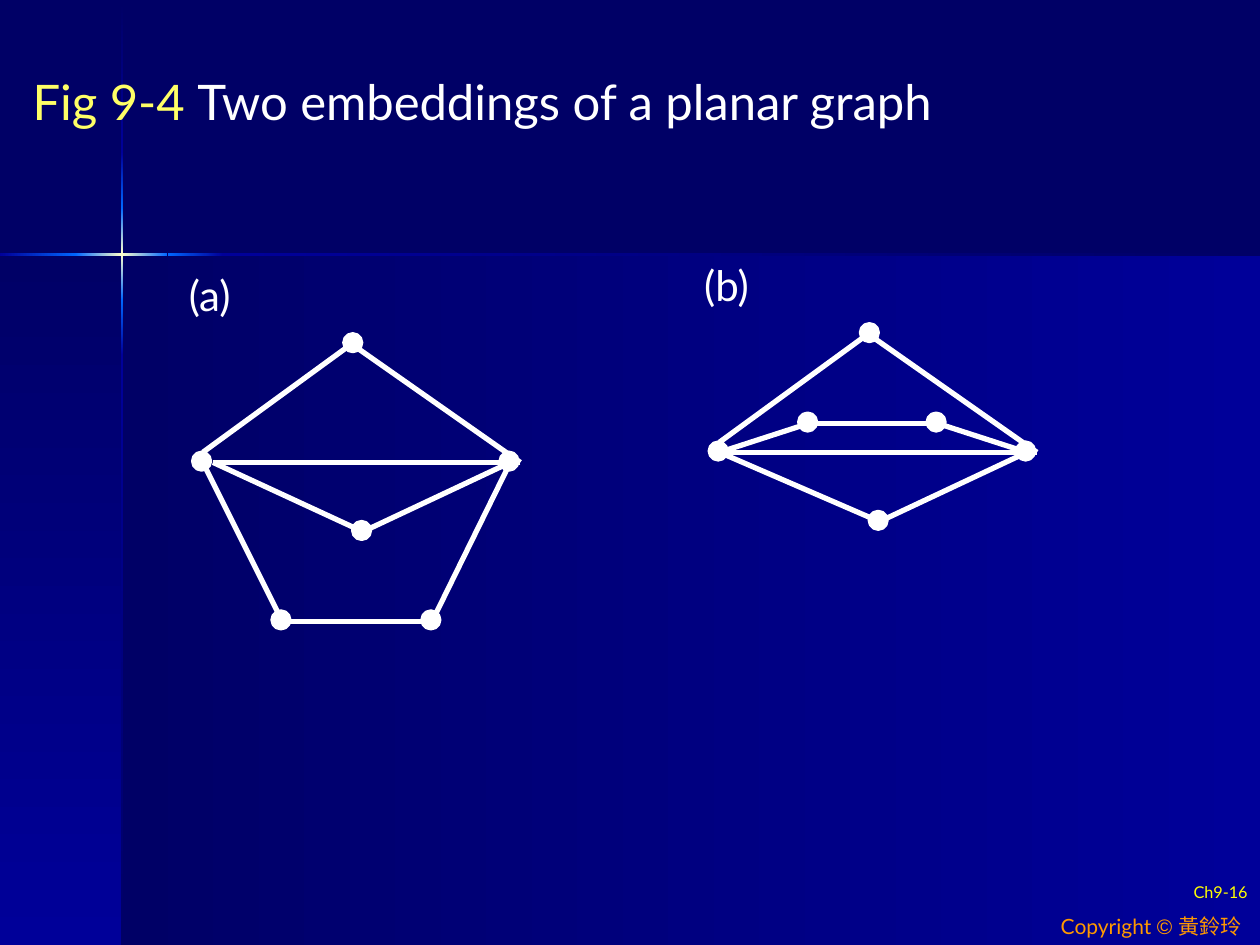
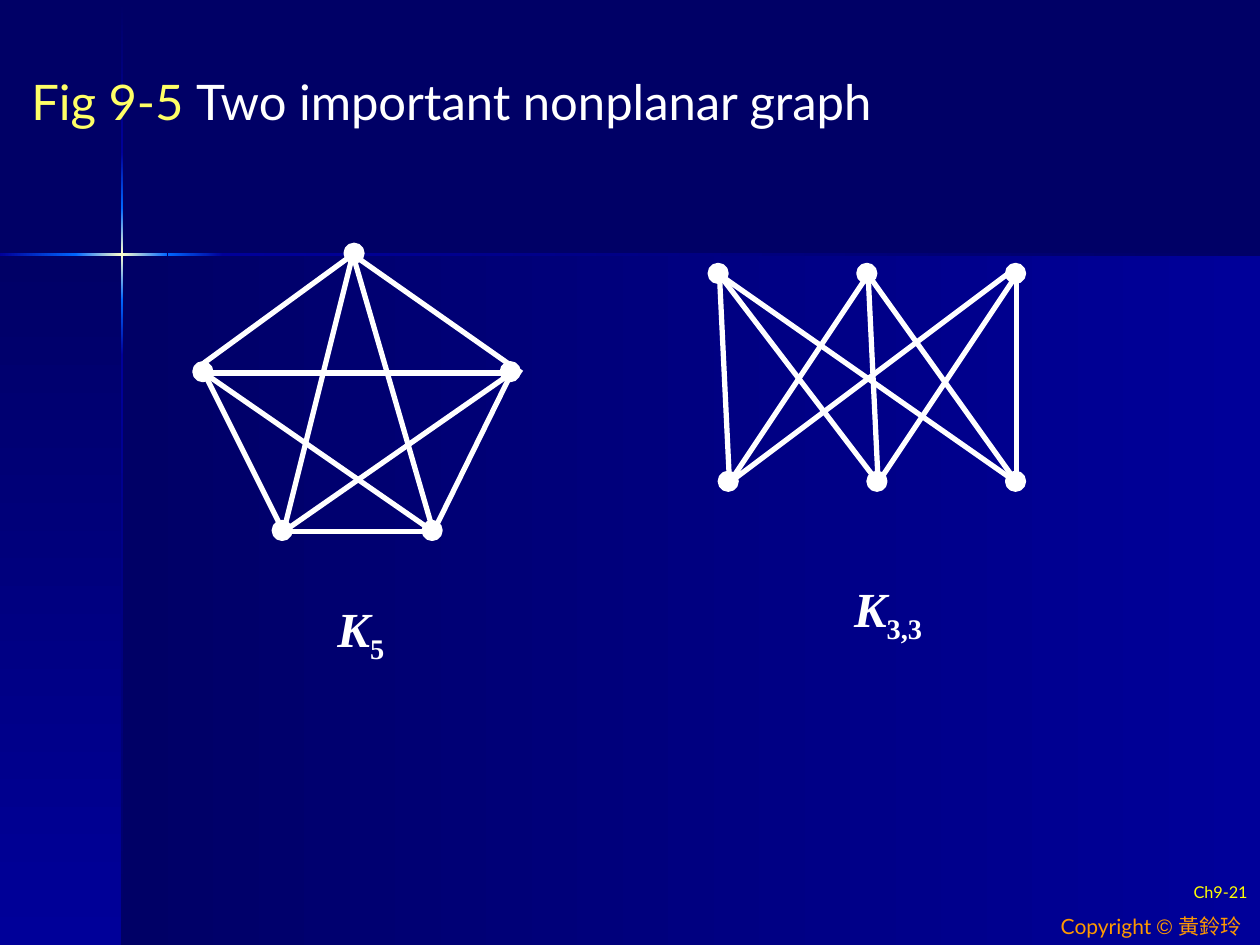
from copy import deepcopy

from pptx import Presentation
from pptx.dml.color import RGBColor
from pptx.enum.shapes import MSO_CONNECTOR as Link, MSO_SHAPE as Form
from pptx.enum.text import MSO_AUTO_SIZE as Fit, PP_ALIGN as Align
from pptx.oxml.ns import qn
from pptx.util import Inches, Pt

NAVY, BLUE, AZURE, CREAM = "000066", "000099", "0066FF", "FFFFCC"
WHITE, LEMON, YELLOW, ORANGE = "FFFFFF", "FFFF66", "FFFF00", "FF9900"
SANS, SERIF = "Lato", "Times New Roman"
DOT, HUB = 0.14, 0.08
BEAM = 0.02

# Capitals are dots; small letters are bare line ends.
FRAME = {"T": (1.2, 0), "L": (0, 0.94), "R": (2.44, 0.94),
         "t": (1.18, 0), "l": (0, 0.86), "r": (2.52, 0.94)}
BASE = {"P": (0.63, 2.2), "Q": (1.82, 2.2)}
MID = {"M": (1.27, 1.49)}
HOUSE = FRAME | BASE | MID | {"k": (0.08, 0.94)}
KITE = FRAME | MID | {"A": (0.71, 0.71), "B": (1.73, 0.71)}
FIVE = FRAME | BASE
PAIRS = {"A": (0, 0), "B": (1.18, 0), "C": (2.36, 0), "c": (2.28, 0),
         "D": (0.08, 1.65), "E": (1.26, 1.65), "F": (2.36, 1.65)}


def tint(code):
    """Turn a hex string into a colour."""
    return RGBColor.from_string(code)


def inch(*sizes):
    """Turn numbers into lengths."""
    return [Inches(size) for size in sizes]


def run(text, size, hue, font=SANS, bold=None, slant=None, base=None):
    """Describe one run of text."""
    return text, size, hue, font, bold, slant, base


def write(shapes, box, runs, wrap=False, align=Align.LEFT, gap=None):
    """Place a text box and fill it run by run."""
    frame = shapes.add_textbox(*inch(*box)).text_frame
    frame.word_wrap = wrap
    frame.auto_size = Fit.NONE if wrap else Fit.SHAPE_TO_FIT_TEXT
    para = frame.paragraphs[0]
    para.alignment = align
    para.line_spacing = gap
    for text, size, hue, font, bold, slant, base in runs:
        part = para.add_run()
        part.text = text
        face = part.font
        face.size, face.name = Pt(size), font
        face.bold, face.italic = bold, slant
        face.color.rgb = tint(hue)
        if base:
            part._r.get_or_add_rPr().set("baseline", str(base * 1000))


def blend(slide, box, hues, down):
    """Draw a band that fades through evenly spaced colours."""
    band = slide.shapes.add_shape(Form.RECTANGLE, *inch(*box))
    band.shadow.inherit = False
    band.line.fill.background()
    fill = band.fill
    fill.gradient()
    fill.gradient_angle = 270 if down else 0
    stops = band._element.spPr.find(qn("a:gradFill")).find(qn("a:gsLst"))
    for _ in hues[2:]:
        stops.append(deepcopy(stops[0]))
    for num, (stop, hue) in enumerate(zip(fill.gradient_stops, hues)):
        stop.color.rgb = tint(hue)
        stop.position = num / (len(hues) - 1)


def backdrop(slide):
    """Draw the panels and the crossing beams of light."""
    slide.background.fill.solid()
    slide.background.fill.fore_color.rgb = tint(NAVY)
    blend(slide, (0.97, 2.02, 9.03, 5.48), (NAVY, BLUE), False)
    blend(slide, (0, 2.02, 0.97, 5.48), (NAVY, BLUE), True)
    glow = (AZURE, CREAM, AZURE)
    tall = [(0.01, 1.21, (NAVY, BLUE)), (2.82, 7.5, (BLUE, NAVY)),
            (2.38, 2.82, (AZURE, BLUE)), (1.21, 1.65, (BLUE, AZURE)),
            (1.65, 2.38, glow)]
    wide = [(1.77, 10, (BLUE, NAVY)), (0, 0.61, (BLUE, AZURE)),
            (1.33, 1.77, (AZURE, BLUE)), (0.6, 1.33, glow)]
    for top, end, hues in tall:
        blend(slide, (0.96, top, BEAM, end - top), hues, True)
    for left, end, hues in wide:
        blend(slide, (left, 2.01, end - left, BEAM), hues, False)


def footer(slide, page):
    """Write the credit and the page number."""
    write(slide.shapes, (8.32, 7.2, 1.72, 0.3),
          [run("Copyright ", 12, ORANGE), run("© ", 12, ORANGE, "Arial"),
           run("黃鈴玲", 12, ORANGE)])
    write(slide.shapes, (7.92, 6.98, 2.08, 0.28), [run(page, 9.3, YELLOW)],
          True, Align.RIGHT, 0.8)


def graph(slide, left, top, spots, edges, label, runs):
    """Draw a labelled graph from its top left corner."""
    shapes = slide.shapes.add_group_shape().shapes
    for edge in edges.split():
        ends = [(left + HUB + spots[key][0], top + HUB + spots[key][1])
                for key in edge]
        line = shapes.add_connector(Link.STRAIGHT, *inch(*ends[0], *ends[1]))
        line.line.color.rgb = tint(WHITE)
        line.line.width = Pt(3)
        spot = line._element.spPr
        spot.append(spot.makeelement(qn("a:effectLst"), {}))
    for key, (x, y) in spots.items():
        if key.isupper():
            dot = shapes.add_shape(Form.OVAL,
                                   *inch(left + x, top + y, DOT, DOT))
            dot.shadow.inherit = False
            dot.fill.solid()
            dot.fill.fore_color.rgb = dot.line.color.rgb = tint(WHITE)
            dot.line.width = Pt(2)
    x, y, wide, high = label
    write(shapes, (left + x, top + y, wide, high), runs)


def start(deck, page, left, wide, figure, title):
    """Add a slide with the shared look and its title."""
    slide = deck.slides.add_slide(deck.slide_layouts[6])
    backdrop(slide)
    footer(slide, page)
    write(slide.shapes, (left, 0.52, wide, 0.57),
          [run(figure, 28, LEMON), run(title, 28, WHITE)])
    return slide


def planar(deck):
    """Show two embeddings of one planar graph."""
    slide = start(deck, "Ch9-16", 0.16, 7.91, "Fig 9-4 ",
                  "Two embeddings of a planar graph")
    graph(slide, 1.53, 2.65, HOUSE, "QR tr PL tl rk QP kM RM",
          (-0.13, -0.56, 0.58, 0.5), [run("(a)", 24, WHITE)])
    graph(slide, 5.63, 2.57, KITE, "BR tr AL tl rL BA LM RM",
          (-0.14, -0.56, 0.6, 0.5), [run("(b)", 24, WHITE)])


def complete(deck):
    """Show the two basic nonplanar graphs."""
    slide = start(deck, "Ch9-21", 0.15, 7.39, "Fig 9-5 ",
                  "Two important nonplanar graph")

    def name(low):
        """Write K with its subscript."""
        return [run("K", 28, WHITE, SERIF, True, True),
                run(low, 28, WHITE, SERIF, True, False, -25)]

    graph(slide, 1.54, 1.94, FIVE, "QR tr PL tl RL QP LQ RP tP tQ",
          (1.04, 2.76, 0.57, 0.63), name("5"))
    graph(slide, 5.63, 2.1, PAIRS, "AD AE AF BD BE BF cD CE CF",
          (1.05, 2.44, 0.74, 0.63), name("3,3"))


def main():
    """Build and save the deck."""
    deck = Presentation()
    deck.slide_width, deck.slide_height = inch(10, 7.5)
    planar(deck)
    complete(deck)
    deck.save("out.pptx")


if __name__ == "__main__":
    main()
